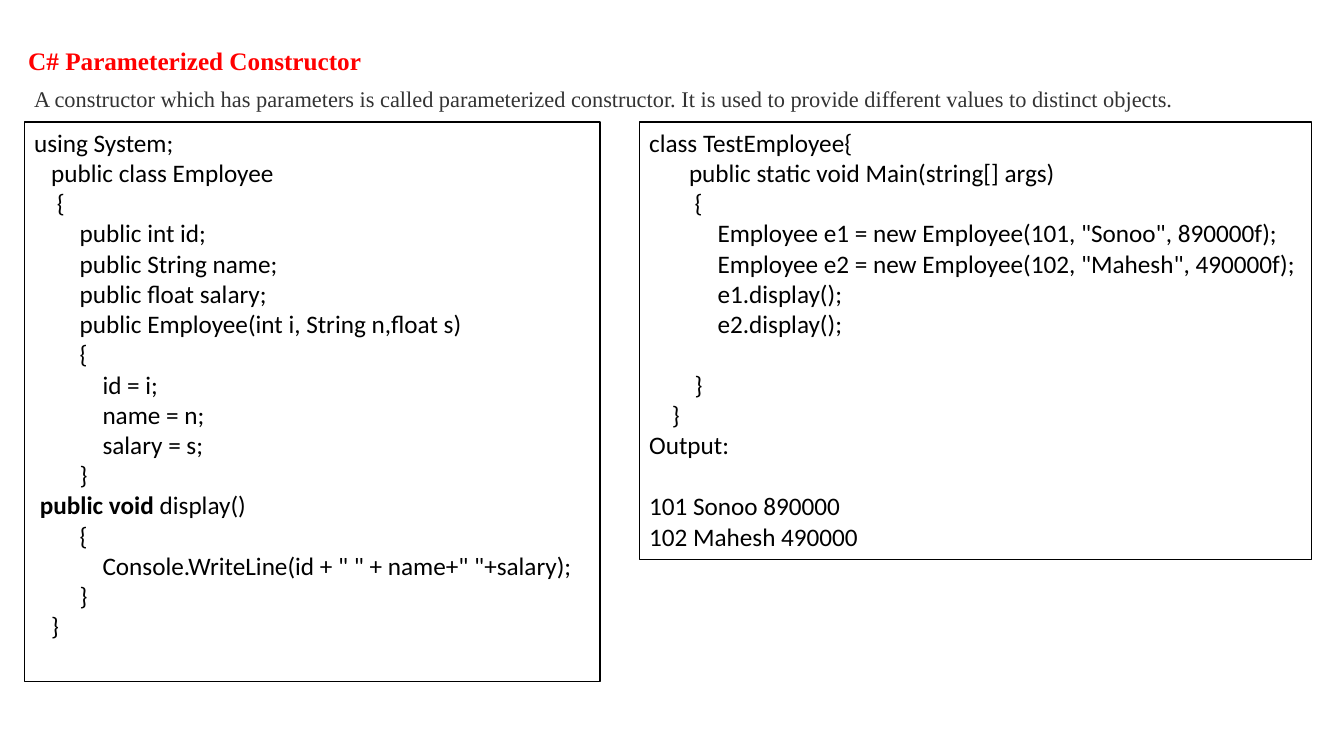
from pptx import Presentation
from pptx.dml.color import RGBColor
from pptx.enum.shapes import MSO_SHAPE
from pptx.enum.text import MSO_ANCHOR, PP_ALIGN
from pptx.util import Inches, Pt

RECT = MSO_SHAPE.RECTANGLE
TOP = MSO_ANCHOR.TOP
LEFT = PP_ALIGN.LEFT
RED = RGBColor(0xFF, 0x00, 0x00)
GREY = RGBColor(0x33, 0x33, 0x33)
BLACK = RGBColor(0x00, 0x00, 0x00)
WHITE = RGBColor(0xFF, 0xFF, 0xFF)
SERIF, SANS = "Times New Roman", "Calibri"

# Content: code lines are (indent in characters, bold start, rest)
TITLE = "C# Parameterized Constructor"
INTRO = ("A constructor which has parameters is called parameterized constructor. "
         "It is used to provide different values to distinct objects.")
EMPLOYEE = [
    (0, "", "using System;"),
    (3, "", "public class Employee"),
    (4, "", "{"),
    (8, "", "public int id;"),
    (8, "", "public String name;"),
    (8, "", "public float salary;"),
    (8, "", "public Employee(int i, String n,float s)"),
    (8, "", "{"),
    (12, "", "id = i;"),
    (12, "", "name = n;"),
    (12, "", "salary = s;"),
    (8, "", "}"),
    (1, "public void", " display()"),
    (8, "", "{"),
    (12, "", 'Console.WriteLine(id + " " + name+" "+salary);'),
    (8, "", "}"),
    (3, "", "}"),
]
TEST = [
    (0, "", "class TestEmployee{"),
    (7, "", "public static void Main(string[] args)"),
    (8, "", "{"),
    (12, "", 'Employee e1 = new Employee(101, "Sonoo", 890000f);'),
    (12, "", 'Employee e2 = new Employee(102, "Mahesh", 490000f);'),
    (12, "", "e1.display();"),
    (12, "", "e2.display();"),
    (8, "", "}"),
    (4, "", "}"),
    (0, "", "Output:"),
    (0, "", "101 Sonoo 890000"),
    (0, "", "102 Mahesh 490000"),
]
# Lines set apart from the one above: after the calls, and the printed result
GAP_BEFORE = {7, 10}
# Code boxes: left, width, height, lines, lines with a gap
BOXES = [
    (0.24, 5.71, 5.55, EMPLOYEE, set()),
    (6.34, 6.67, 4.34, TEST, GAP_BEFORE),
]
BOX_TOP = 1.21
CHAR_WIDTH = Pt(4.07)
LINE_HEIGHT = Pt(21.97)


def add_text(p, text, size=18, font=SANS, color=BLACK, bold=False):
    r = p.add_run()
    r.text = text
    r.font.size = Pt(size)
    r.font.name = font
    r.font.color.rgb = color
    r.font.bold = bold


def add_code(s, left, width, height, lines, gaps):
    sp = s.shapes.add_shape(RECT, Inches(left), Inches(BOX_TOP),
                            Inches(width), Inches(height))
    sp.shadow.inherit = False
    sp.fill.solid()
    sp.fill.fore_color.rgb = WHITE
    sp.line.color.rgb = BLACK
    sp.line.width = Pt(1)
    tf = sp.text_frame
    tf.word_wrap = True
    tf.vertical_anchor = TOP
    for i, (indent, bold_start, rest) in enumerate(lines):
        p = tf.add_paragraph() if i else tf.paragraphs[0]
        p.alignment = LEFT
        pPr = p._p.get_or_add_pPr()
        pPr.set("marL", str(int(indent * CHAR_WIDTH)))
        pPr.set("indent", "0")
        if i in gaps:
            p.space_before = LINE_HEIGHT
        if bold_start:
            add_text(p, bold_start, bold=True)
        add_text(p, rest)


prs = Presentation()
prs.slide_width, prs.slide_height = Inches(13.33), Inches(7.5)
s = prs.slides.add_slide(prs.slide_layouts[5])

# Title
title = s.shapes.title
title.left, title.top = Inches(0.18), Inches(0.4)
title.width, title.height = Inches(3.54), Inches(0.4)
tf = title.text_frame
tf.word_wrap = False
tf.vertical_anchor = TOP
tf.paragraphs[0].alignment = LEFT
add_text(tf.paragraphs[0], TITLE, font=SERIF, color=RED, bold=True)

# Introduction
intro = s.shapes.add_textbox(Inches(0.24), Inches(0.8), Inches(12.87), Inches(0.37))
intro.text_frame.word_wrap = True
add_text(intro.text_frame.paragraphs[0], INTRO, size=16, font=SERIF, color=GREY)

# Code boxes
for box in BOXES:
    add_code(s, *box)

prs.save("out.pptx")
